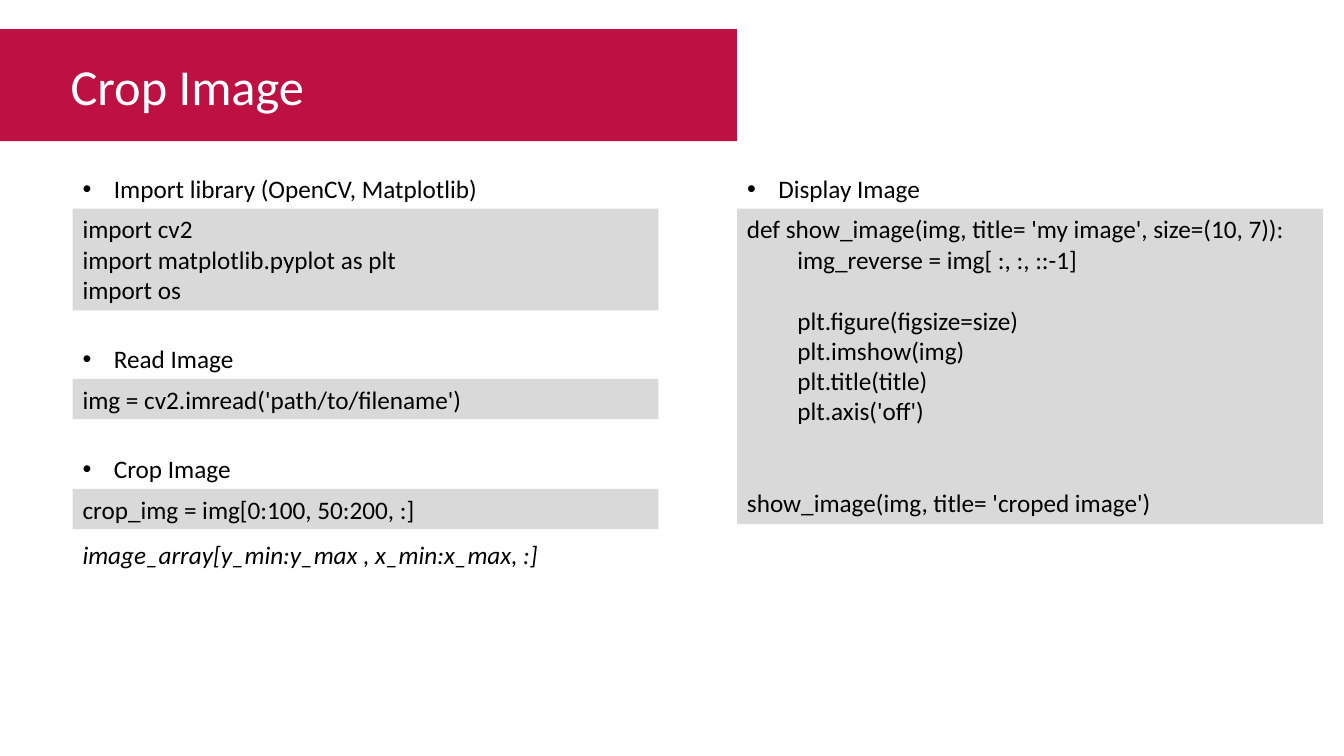
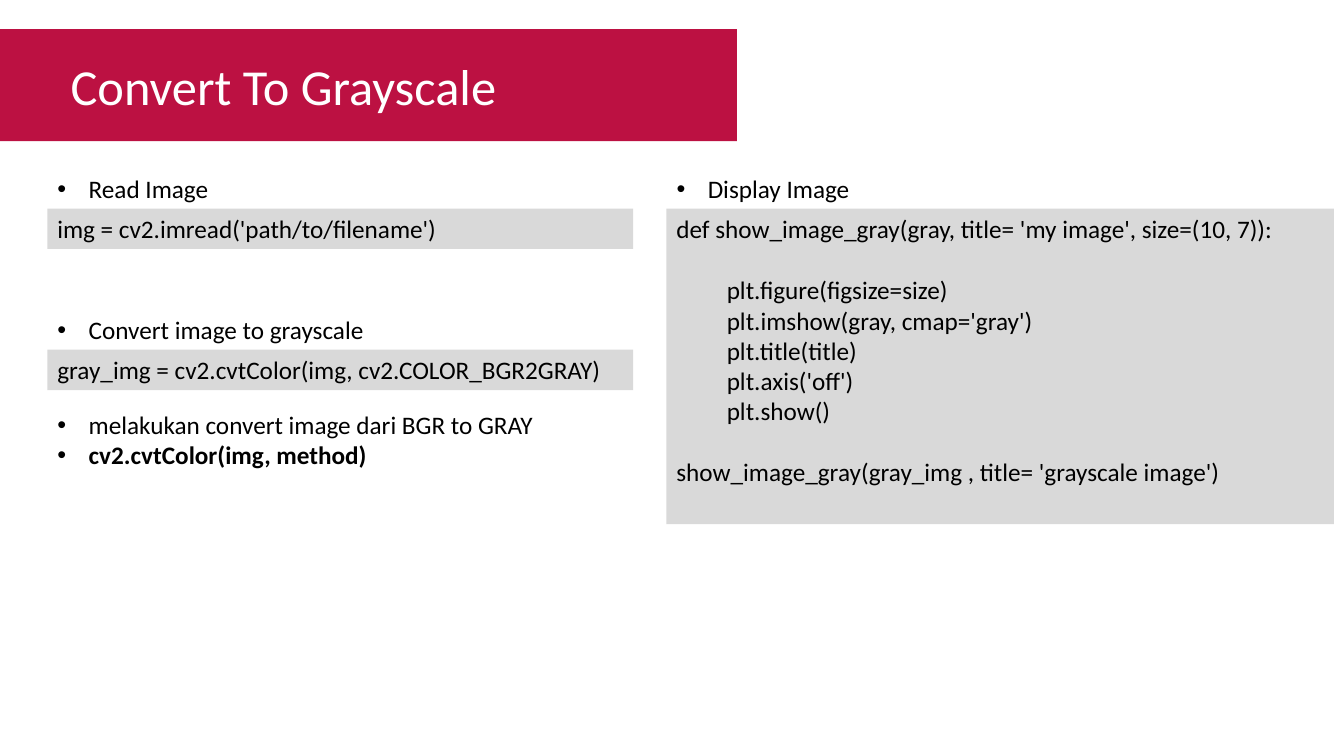
from pptx import Presentation
from pptx import util as u
from pptx.dml.color import RGBColor
from pptx.enum import shapes, text
from pptx.oxml import ns
from lxml import etree

PX = 9144  # EMU per px, 100 px to the inch
FONT = "Calibri"
CRIMSON = RGBColor(0xBC, 0x11, 0x42)
GREY = RGBColor(0xD9, 0xD9, 0xD9)
BLACK = RGBColor(0, 0, 0)
WHITE = RGBColor(255, 255, 255)

COLUMN_WIDTH = 581
TOP = 167
HEADING_HEIGHT = 40
LINE_HEIGHT = 30.3
LINE_POINTS = 22
PADDING = 10
BULLET_INDENT = 31
CODE_INDENT = 50
COMPARISON_LAYOUT = 4  # a title and four body placeholders


def px(length):
    return u.Emu(round(length * PX))


def text_height(lines):
    return round(lines * LINE_HEIGHT) + PADDING


def place(shape, left, top, width, height):
    shape.left, shape.top = px(left), px(top)
    shape.width, shape.height = px(width), px(height)


def prepare_frame(shape, anchor=text.MSO_ANCHOR.TOP):
    frame = shape.text_frame
    frame.word_wrap = True
    frame.auto_size = text.MSO_AUTO_SIZE.NONE
    frame.vertical_anchor = anchor
    return frame


def add_line(frame, content, size=18, color=BLACK, bold=False, italic=False, gap=0):
    """Write one paragraph, with gap counted in empty lines above it."""
    first = frame.paragraphs[0]
    paragraph = frame.add_paragraph() if first.runs else first
    paragraph.alignment = text.PP_ALIGN.LEFT
    paragraph.space_before = u.Pt(gap * LINE_POINTS)
    run = paragraph.add_run()
    run.text = content
    font = run.font
    font.name, font.size, font.color.rgb = FONT, u.Pt(size), color
    font.bold, font.italic = bold, italic
    return paragraph


def set_indent(paragraph, margin, first_line=0):
    properties = paragraph._p.get_or_add_pPr()
    properties.set("marL", str(px(margin)))
    properties.set("indent", str(px(first_line)))
    return properties


def add_title(slide, title):
    """The title placeholder doubles as the coloured band."""
    band = slide.shapes.title
    place(band, 0, 29, 731, 111)
    band.fill.solid()
    band.fill.fore_color.rgb = CRIMSON
    frame = prepare_frame(band, text.MSO_ANCHOR.MIDDLE)
    frame.margin_left = px(70)
    add_line(frame, title, size=36, color=WHITE)


def fill_list(placeholder, left, top, width, items):
    """Bulleted list of (text, bold) items."""
    place(placeholder, left, top, width, text_height(len(items)))
    frame = prepare_frame(placeholder)
    for content, bold in items:
        paragraph = add_line(frame, content, bold=bold)
        properties = set_indent(paragraph, BULLET_INDENT, -BULLET_INDENT)
        etree.SubElement(properties, ns.qn("a:buFont")).set("typeface", "Arial")
        etree.SubElement(properties, ns.qn("a:buChar")).set("char", "•")


def add_code(slide, left, top, width, lines, spare=0):
    """Grey box of (text, indent level, empty lines above) code lines."""
    rows = sum(1 + gap for _, _, gap in lines) + spare
    box = slide.shapes.add_shape(
        shapes.MSO_SHAPE.RECTANGLE, px(left), px(top), px(width), px(text_height(rows)))
    box.shadow.inherit = False
    box.fill.solid()
    box.fill.fore_color.rgb = GREY
    box.line.fill.background()
    frame = prepare_frame(box)
    for content, level, gap in lines:
        set_indent(add_line(frame, content, gap=gap), level * CODE_INDENT)


def add_step(slide, placeholder, left, top, width, heading, lines, spare=0):
    """A bulleted heading with its code directly below."""
    fill_list(placeholder, left, top, width, [(heading, False)])
    add_code(slide, left, top + HEADING_HEIGHT, width, lines, spare)


def start_slide(presentation, title):
    slide = presentation.slides.add_slide(presentation.slide_layouts[COMPARISON_LAYOUT])
    add_title(slide, title)
    return slide, list(slide.placeholders)[1:]


def build_crop_slide(presentation):
    slide, bodies = start_slide(presentation, "Crop Image")
    left = 72
    # Left column: import, read and crop
    steps = [
        (TOP, "Import library (OpenCV, Matplotlib)",
         [("import cv2", 0, 0), ("import matplotlib.pyplot as plt", 0, 0), ("import os", 0, 0)]),
        (336, "Read Image", [("img = cv2.imread('path/to/filename')", 0, 0)]),
        (445, "Crop Image", [("crop_img = img[0:100, 50:200, :]", 0, 0)]),
    ]
    for body, (top, heading, lines) in zip(bodies, steps):
        add_step(slide, body, left, top, COLUMN_WIDTH, heading, lines)
    # Syntax note
    note = slide.shapes.add_textbox(px(left), px(530), px(COLUMN_WIDTH), px(text_height(1)))
    add_line(prepare_frame(note), "image_array[y_min:y_max , x_min:x_max, :]", italic=True)
    # Right column: display
    add_step(slide, bodies[3], 731, TOP, COLUMN_WIDTH, "Display Image", [
        ("def show_image(img, title= 'my image', size=(10, 7)):", 0, 0),
        ("img_reverse = img[ :, :, ::-1]", 1, 0),
        ("plt.figure(figsize=size)", 1, 1),
        ("plt.imshow(img)", 1, 0),
        ("plt.title(title)", 1, 0),
        ("plt.axis('off')", 1, 0),
        ("show_image(img, title= 'croped image')", 0, 2),
    ])


def build_grayscale_slide(presentation):
    slide, bodies = start_slide(presentation, "Convert To Grayscale")
    left = 47
    # Left column: read and convert
    steps = [
        (TOP, "Read Image", "img = cv2.imread('path/to/filename')"),
        (307, "Convert image to grayscale", "gray_img = cv2.cvtColor(img, cv2.COLOR_BGR2GRAY)"),
    ]
    for body, (top, heading, code) in zip(bodies, steps):
        add_step(slide, body, left, top, COLUMN_WIDTH, heading, [(code, 0, 0)])
    # Explanation
    fill_list(bodies[2], left, 401, COLUMN_WIDTH, [
        ("melakukan convert image dari BGR to GRAY", False),
        ("cv2.cvtColor(img, method)", True),
    ])
    # Right column: display
    add_step(slide, bodies[3], 661, TOP, 662, "Display Image", [
        ("def show_image_gray(gray, title= 'my image', size=(10, 7)):", 0, 0),
        ("plt.figure(figsize=size)", 1, 1),
        ("plt.imshow(gray, cmap='gray')", 1, 0),
        ("plt.title(title)", 1, 0),
        ("plt.axis('off')", 1, 0),
        ("plt.show()", 1, 0),
        ("show_image_gray(gray_img , title= 'grayscale image')", 0, 1),
    ], spare=1)


def main():
    presentation = Presentation()
    presentation.slide_width, presentation.slide_height = px(1333), px(750)
    build_crop_slide(presentation)
    build_grayscale_slide(presentation)
    presentation.save("out.pptx")


if __name__ == "__main__":
    main()
